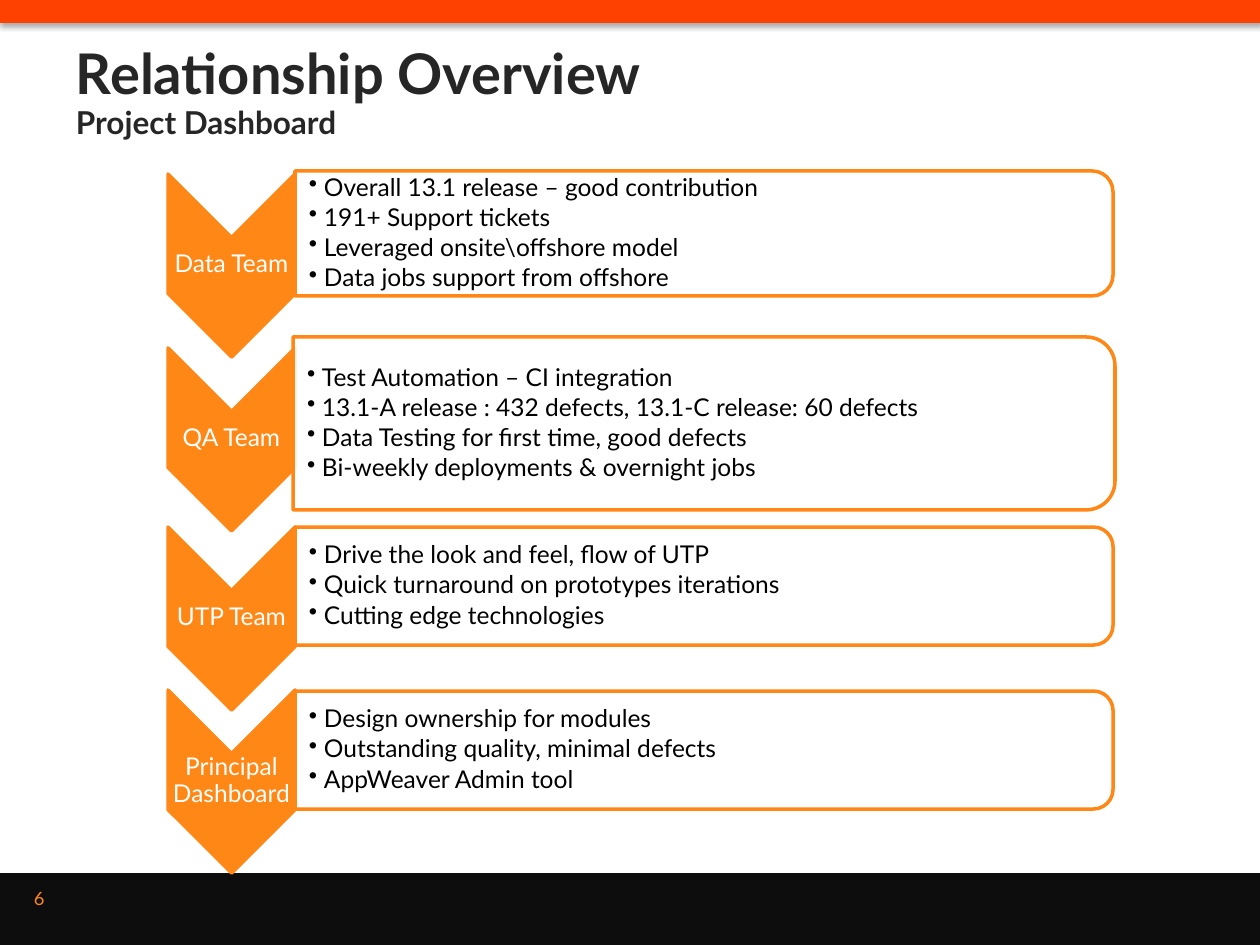
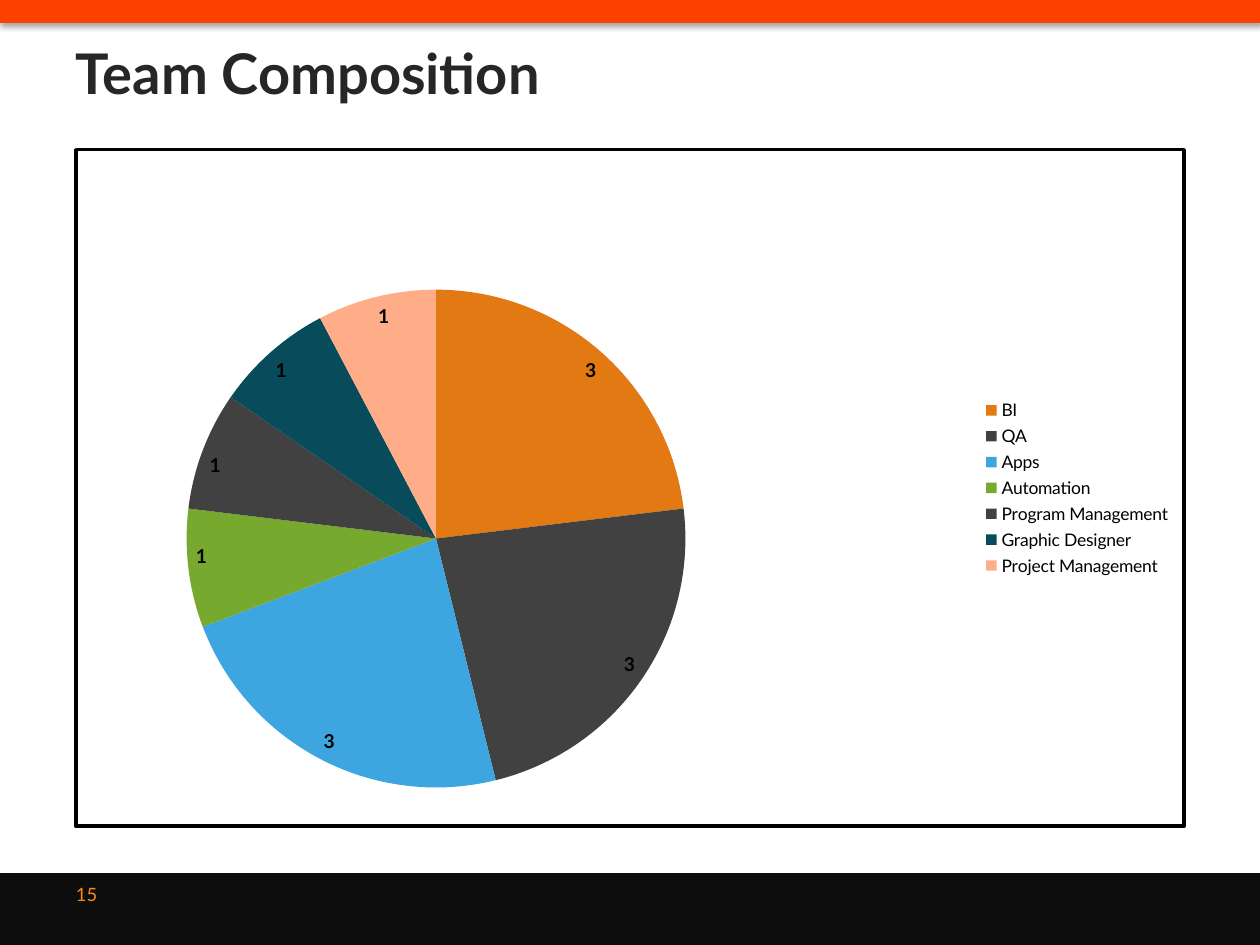
from lxml import etree
from pptx import Presentation
from pptx.chart.data import CategoryChartData
from pptx.dml.color import RGBColor
from pptx.enum.chart import XL_CHART_TYPE, XL_LABEL_POSITION, XL_LEGEND_POSITION
from pptx.enum.shapes import MSO_SHAPE
from pptx.enum.text import MSO_ANCHOR, MSO_AUTO_SIZE, PP_ALIGN
from pptx.oxml import parse_xml
from pptx.oxml.ns import nsdecls, qn
from pptx.util import Emu, Pt

FONT = "Lato"
ORANGE = RGBColor(0xFF, 0x87, 0x15)
BAND_RED = RGBColor(0xFF, 0x41, 0x00)
FOOTER_BLACK = RGBColor(0x0D, 0x0D, 0x0D)
HEADING = RGBColor(0x26, 0x26, 0x26)
WHITE = RGBColor(0xFF, 0xFF, 0xFF)
BLACK = RGBColor(0x00, 0x00, 0x00)
PIE_COLORS = [
    RGBColor(0xE2, 0x79, 0x12),
    RGBColor(0x41, 0x41, 0x41),
    RGBColor(0x3D, 0xA6, 0xE0),
    RGBColor(0x77, 0xA9, 0x2F),
    RGBColor(0x41, 0x41, 0x41),
    RGBColor(0x08, 0x4C, 0x5B),
    RGBColor(0xFF, 0xAD, 0x88),
]
PX = 914400 / 126  # EMU in one pixel


def add_block(slide, kind, box, fill, line=None, turned=False):
    """Add a preset shape; a turned one is rotated by 90 degrees to fill box."""
    left, top, width, height = box
    if turned:
        left += (width - height) / 2
        top += (height - width) / 2
        width, height = height, width
    shape = slide.shapes.add_shape(kind, *[Emu(round(v * PX)) for v in (left, top, width, height)])
    shape.rotation = 90 if turned else 0
    shape.shadow.inherit = False
    shape.fill.solid()
    shape.fill.fore_color.rgb = fill
    if line is None:
        shape.line.fill.background()
    else:
        shape.line.color.rgb = line
        shape.line.width = Pt(2)
    return shape


def write_text(shape, box, lines, size, color, bold=False, anchor=MSO_ANCHOR.TOP, margins=(13, 6, 13, 6)):
    """Place a text shape and write one run per line; return its paragraphs."""
    shape.left, shape.top, shape.width, shape.height = [Emu(round(v * PX)) for v in box]
    frame = shape.text_frame
    frame.word_wrap = True
    frame.auto_size = MSO_AUTO_SIZE.NONE
    frame.vertical_anchor = anchor
    (frame.margin_left, frame.margin_top,
     frame.margin_right, frame.margin_bottom) = [Emu(round(v * PX)) for v in margins]
    for index, line in enumerate(lines):
        paragraph = frame.add_paragraph() if index else frame.paragraphs[0]
        paragraph.alignment = PP_ALIGN.LEFT
        run = paragraph.add_run()
        run.text = line
        run.font.name = FONT
        run.font.size = Pt(size)
        run.font.bold = bold
        run.font.color.rgb = color
    return frame.paragraphs


presentation = Presentation()
presentation.slide_width = Emu(round(1260 * PX))
presentation.slide_height = Emu(round(945 * PX))

# Shared frame: bands, title and slide number
slides = []
for title, number, number_left, number_top in [
    ("Relationship Overview", "6", 21, 873),
    ("Team Composition", "15", 63, 869),
]:
    slide = presentation.slides.add_slide(presentation.slide_layouts[5])
    add_block(slide, MSO_SHAPE.RECTANGLE, (0, 873, 1260, 72), FOOTER_BLACK)
    band = add_block(slide, MSO_SHAPE.RECTANGLE, (0, -1, 1261, 24), BAND_RED)
    effects = band.element.spPr.find(qn("a:effectLst"))
    effects.append(parse_xml(
        f'<a:outerShdw {nsdecls("a")} blurRad="39370" dist="22860" dir="5400000" rotWithShape="0">'
        '<a:srgbClr val="000000"><a:alpha val="35000"/></a:srgbClr></a:outerShdw>'))
    write_text(slide.shapes.title, (63, 33, 1134, 71), [title], 32, HEADING, bold=True)
    number_box = slide.shapes.add_textbox(0, 0, 0, 0)
    write_text(number_box, (number_left, number_top, 294, 50), [number], 10.5, ORANGE,
               anchor=MSO_ANCHOR.MIDDLE)
    slides.append(slide)
overview_slide, composition_slide = slides

# Overview: subtitle
subtitle = overview_slide.shapes.add_textbox(0, 0, 0, 0)
write_text(subtitle, (63, 97, 1134, 71), ["Project Dashboard"], 18, HEADING, bold=True)

# Overview: one chevron and one panel for each team
teams = [
    ("Data Team", 174, (295, 171, 818, 125), [
        "Overall 13.1 release – good contribution",
        "191+ Support tickets",
        "Leveraged onsite\\offshore model",
        "Data jobs support from offshore"]),
    ("QA Team", 348, (293, 337, 822, 173), [
        "Test Automation – CI integration",
        "13.1-A release : 432 defects, 13.1-C release: 60 defects",
        "Data Testing for first time, good defects",
        "Bi-weekly deployments & overnight jobs"]),
    ("UTP Team", 527, (295, 527, 818, 118), [
        "Drive the look and feel, flow of UTP",
        "Quick turnaround on prototypes iterations",
        "Cutting edge technologies"]),
    ("Principal Dashboard", 690, (295, 691, 818, 118), [
        "Design ownership for modules",
        "Outstanding quality, minimal defects",
        "AppWeaver Admin tool"]),
]
for team, chevron_top, panel_box, points in teams:
    add_block(overview_slide, MSO_SHAPE.CHEVRON, (168, chevron_top, 127, 183), ORANGE, ORANGE, turned=True)
    label = overview_slide.shapes.add_textbox(0, 0, 0, 0)
    for paragraph in write_text(label, (168, chevron_top + 64, 127, 54), [team], 14, WHITE,
                                anchor=MSO_ANCHOR.MIDDLE, margins=(1, 1, 1, 1)):
        paragraph.alignment = PP_ALIGN.CENTER
        paragraph.line_spacing = 0.9

    panel = add_block(overview_slide, MSO_SHAPE.ROUND_2_SAME_RECTANGLE, panel_box, WHITE, ORANGE, turned=True)
    panel_color = panel.element.spPr.find(qn("a:solidFill"))[0]
    etree.SubElement(panel_color, qn("a:alpha")).set("val", "90000")

    left, top, width, height = panel_box
    point_list = overview_slide.shapes.add_textbox(0, 0, 0, 0)
    for paragraph in write_text(point_list, (left, top, width - 7, height), points, 14, BLACK,
                                anchor=MSO_ANCHOR.MIDDLE, margins=(14, 1, 1, 1)):
        paragraph.line_spacing = 0.9
        paragraph.space_after = Pt(2.1)
        properties = paragraph._p.get_or_add_pPr()
        properties.set("marL", str(round(15 * PX)))
        properties.set("indent", str(round(-15 * PX)))
        etree.SubElement(properties, qn("a:buChar")).set("char", "•")

# Composition: pie of team sizes
chart_data = CategoryChartData()
chart_data.categories = ["BI", "QA", "Apps", "Automation", "Program Management",
                         "Graphic Designer", "Project Management"]
chart_data.add_series("Series 1", [3, 3, 3, 1, 1, 1, 1])
chart_box = [Emu(round(v * PX)) for v in (74, 148, 1112, 680)]
chart = composition_slide.shapes.add_chart(XL_CHART_TYPE.PIE, *chart_box, chart_data).chart
chart.has_title = False
chart.font.name = FONT
chart.font.size = Pt(10)
chart.font.color.rgb = BLACK
chart.has_legend = True
chart.legend.position = XL_LEGEND_POSITION.RIGHT
chart.legend.include_in_layout = False

plot = chart.plots[0]
plot.vary_by_categories = True
for index, color in enumerate(PIE_COLORS):
    point_format = plot.series[0].points[index].format
    point_format.fill.solid()
    point_format.fill.fore_color.rgb = color
    point_format.line.fill.background()
plot.has_data_labels = True
labels = plot.data_labels
labels.show_value = True
labels.show_percentage = False
labels.position = XL_LABEL_POSITION.INSIDE_END
labels.font.name = FONT
labels.font.size = Pt(11)
labels.font.bold = True
labels.font.color.rgb = BLACK

# Composition: chart border and plot position
chart_space = chart.element
chart_space.find(qn("c:txPr")).addprevious(parse_xml(
    f'<c:spPr {nsdecls("c", "a")}><a:solidFill><a:srgbClr val="{WHITE}"/></a:solidFill>'
    f'<a:ln w="25400"><a:solidFill><a:srgbClr val="{BLACK}"/></a:solidFill></a:ln></c:spPr>'))
plot_area = chart_space.chart.plotArea
for old_layout in plot_area.findall(qn("c:layout")):
    plot_area.remove(old_layout)
layout = etree.Element(qn("c:layout"))
plot_area.insert(0, layout)
manual = etree.SubElement(layout, qn("c:manualLayout"))
for tag, value in [("layoutTarget", "inner"), ("xMode", "edge"), ("yMode", "edge"),
                   ("x", "0.1"), ("y", "0.2"), ("w", "0.45"), ("h", "0.75")]:
    etree.SubElement(manual, qn(f"c:{tag}")).set("val", value)

presentation.save("out.pptx")
